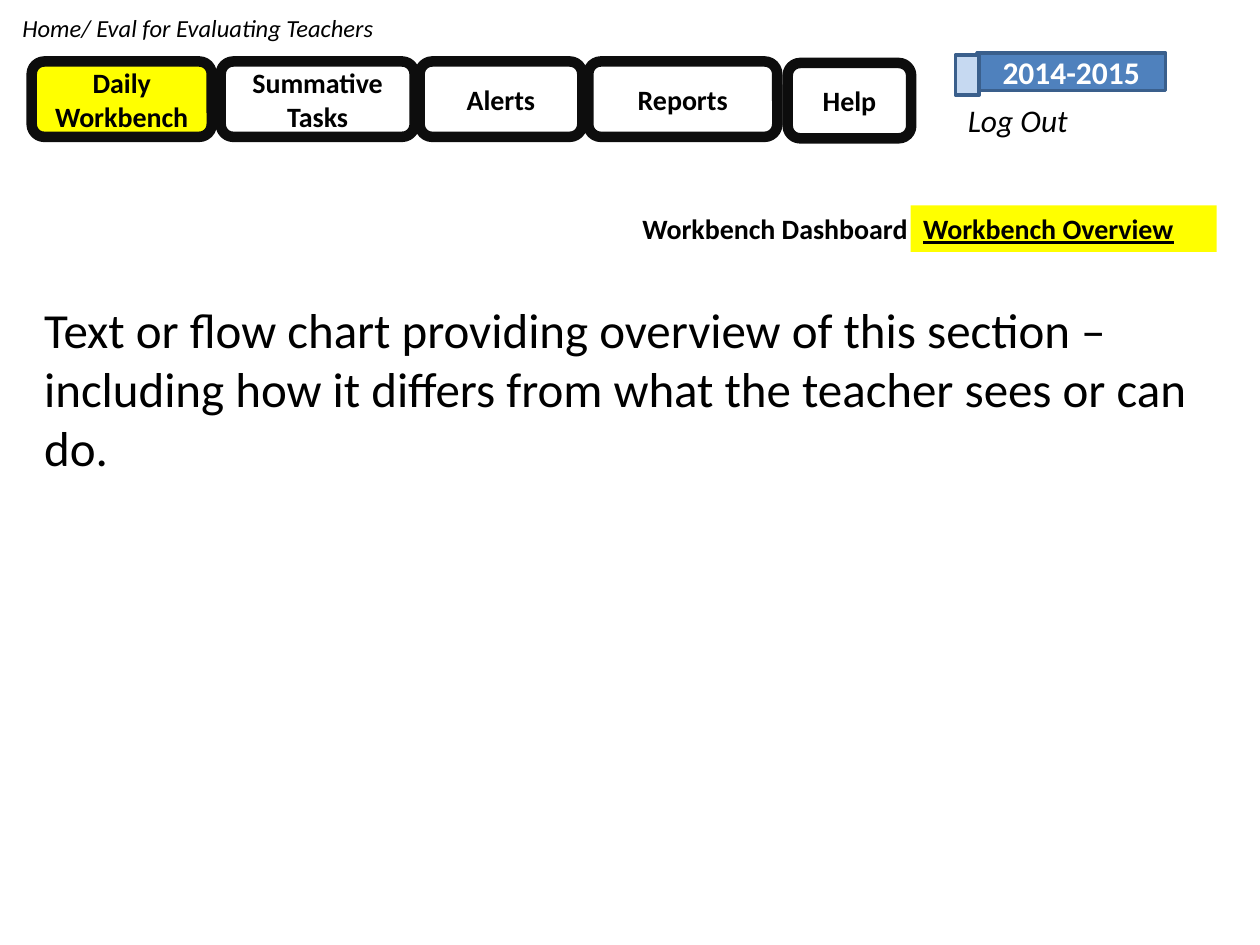
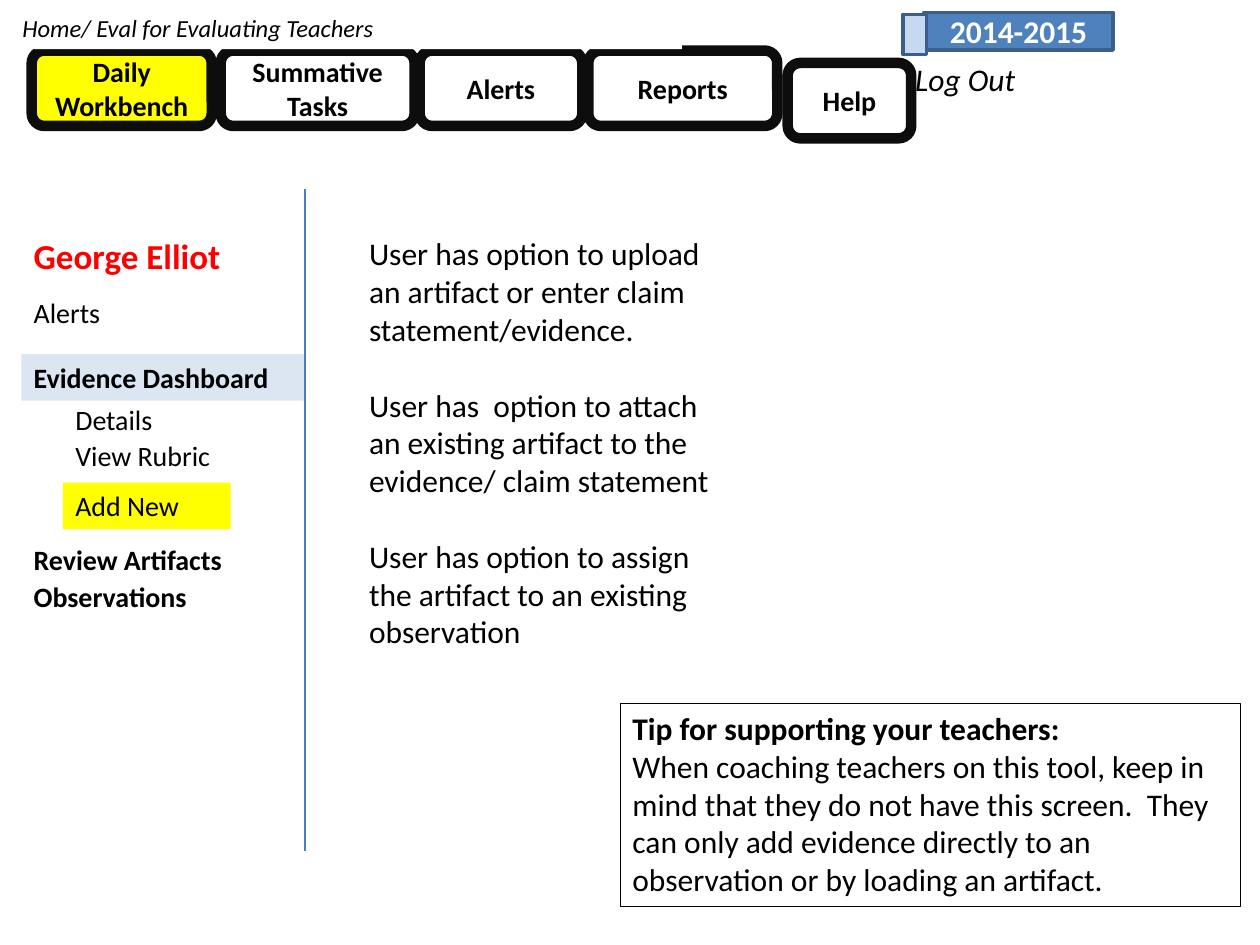
"""Build two wireframe slides of a teacher evaluation workbench."""
from lxml.etree import SubElement
from pptx import Presentation
from pptx.dml.color import RGBColor
from pptx.enum.shapes import MSO_CONNECTOR, MSO_SHAPE
from pptx.enum.text import MSO_ANCHOR, MSO_AUTO_SIZE, PP_ALIGN
from pptx.oxml.ns import qn
from pptx.util import Cm, Pt

FONT = "Calibri"
BLACK, WHITE, RED, YELLOW = "000000", "FFFFFF", "FF0000", "FFFF00"
BLUE, BLUE_EDGE, PALE_BLUE, BAR_BLUE = "4F81BD", "3A5F8C", "C6D9F1", "DCE6F2"
BUTTON_EDGE, DIVIDER = "0D0D0D", "4B7EBC"

BREADCRUMB = "Home/ Eval for Evaluating Teachers"
SCHOOL_YEAR = "2014-2015"
LOG_OUT = "Log Out"
BUTTONS = [
    ("Daily Workbench", 0.64, 3.63, YELLOW),
    ("Summative Tasks", 4.45, 3.91, WHITE),
    ("Alerts", 8.46, 3.28, WHITE),
    ("Reports", 11.86, 3.81, WHITE),
]
HELP_BUTTON = ("Help", 15.88, 2.49, WHITE)
HELP_TOP = 1.27
BUTTON_HEIGHT = 1.52
LINE_HEIGHT = 0.94

OVERVIEW = ("Text or flow chart providing overview of this section – including how "
            "it differs from what the teacher sees or can do.")
MARGIN, INDENT = 0.43, 1.27
SIDEBAR = [
    ("George Elliot", MARGIN, 4.6, 5.08, dict(size=20, bold=True, color=RED)),
    ("Alerts", MARGIN, 5.84, 3.38, dict(fill=WHITE)),
    ("Evidence Dashboard", MARGIN, 7.14, 5.72, dict(bold=True, fill=BAR_BLUE)),
    ("Details", INDENT, 8, 3.38, {}),
    ("View Rubric", INDENT, 8.71, 3.38, {}),
    ("Add New", INDENT, 9.73, 3.38, dict(fill=YELLOW)),
    ("Review Artifacts", MARGIN, 10.82, 5.28, dict(bold=True)),
    ("Observations", MARGIN, 11.56, 4.45, dict(bold=True)),
]
OPTIONS = [
    "User has option to upload an artifact or enter claim statement/evidence.",
    "User has  option to attach an existing artifact to the evidence/ claim statement",
    "User has option to assign the artifact to an existing observation",
]
TIP_TITLE = "Tip for supporting your teachers:"
TIP = ("When coaching teachers on this tool, keep in mind that they do not have this "
       "screen.  They can only add evidence directly to an observation or by loading "
       "an artifact.")


def rgb(value):
    return RGBColor.from_string(value)


def add_text(slide, paragraphs, box, size=16, bold=False, italic=False,
             underline=False, color=BLACK, fill=None, line=None, line_width=1,
             preset=MSO_SHAPE.RECTANGLE, centered=False, gap=0, title=None):
    left, top, width, height = map(Cm, box)
    if fill or line:
        shape = slide.shapes.add_shape(preset, left, top, width, height)
        shape.shadow.inherit = False
        if fill:
            shape.fill.solid()
            shape.fill.fore_color.rgb = rgb(fill)
        else:
            shape.fill.background()
        if line:
            shape.line.color.rgb = rgb(line)
            shape.line.width = Pt(line_width)
        else:
            shape.line.fill.background()
    else:
        shape = slide.shapes.add_textbox(left, top, width, height)
    frame = shape.text_frame
    frame.word_wrap = True
    frame.vertical_anchor = MSO_ANCHOR.MIDDLE if centered else MSO_ANCHOR.TOP
    frame.auto_size = (MSO_AUTO_SIZE.NONE if centered
                       else MSO_AUTO_SIZE.SHAPE_TO_FIT_TEXT)
    texts = [paragraphs] if isinstance(paragraphs, str) else list(paragraphs)
    if title:
        texts.insert(0, title)
    for index, text in enumerate(texts):
        paragraph = frame.add_paragraph() if index else frame.paragraphs[0]
        paragraph.alignment = PP_ALIGN.CENTER if centered else PP_ALIGN.LEFT
        if index and gap:
            paragraph.space_before = Pt(gap)
        run = paragraph.add_run()
        run.text = text
        font = run.font
        font.name, font.size = FONT, Pt(size)
        font.bold = bold or text == title
        font.italic, font.underline = italic, underline
        font.color.rgb = rgb(color)
    return shape


def add_button(slide, button, top):
    label, left, width, fill = button
    add_text(slide, label, (left, top, width, BUTTON_HEIGHT), bold=True, fill=fill,
             line=BUTTON_EDGE, line_width=6, preset=MSO_SHAPE.ROUNDED_RECTANGLE,
             centered=True)


def add_header(slide, year_left, year_top, buttons_top):
    tab_left = year_left - 0.43
    add_text(slide, SCHOOL_YEAR, (year_left, year_top, 3.81, 0.76), size=18, bold=True,
             color=WHITE, fill=BLUE, line=BLUE_EDGE, line_width=2, centered=True)
    add_text(slide, [], (tab_left, year_top + 0.04, 0.48, 0.81), fill=PALE_BLUE,
             line=BLUE_EDGE, line_width=2, centered=True)
    add_text(slide, LOG_OUT, (tab_left, year_top + 0.84, 6.78, 1.02), size=18,
             italic=True)
    for button in BUTTONS:
        add_button(slide, button, buttons_top)
    add_text(slide, BREADCRUMB, (0.2, 0.13, 13.55, 0.86), size=14, italic=True,
             fill=WHITE)
    add_button(slide, HELP_BUTTON, HELP_TOP)


def add_divider(slide, left, top, bottom):
    connector = slide.shapes.add_connector(
        MSO_CONNECTOR.STRAIGHT, Cm(left), Cm(top), Cm(left), Cm(bottom))
    connector.line.color.rgb = rgb(DIVIDER)
    connector.line.width = Pt(0.75)
    SubElement(connector._element.spPr, qn("a:effectLst"))


def build_overview(slide):
    add_header(slide, 19.69, 1.07, 1.24)
    add_text(slide, OVERVIEW, (0.64, 5.92, 23.93, 3.84), size=28)
    add_text(slide, "Workbench Dashboard", (12.7, 4.14, 6.17, LINE_HEIGHT), bold=True)
    add_text(slide, "Workbench Overview", (18.36, 4.14, 6.17, LINE_HEIGHT), bold=True,
             underline=True, fill=YELLOW)


def build_add_new(slide):
    add_header(slide, 18.63, 0.25, 1.02)
    for label, left, top, width, style in SIDEBAR:
        height = 1.12 if style.get("size") else LINE_HEIGHT
        add_text(slide, label, (left, top, width, height), **style)
    add_divider(slide, 6.15, 3.81, 17.15)
    add_text(slide, OPTIONS, (7.19, 4.6, 7.62, 8.71), size=18, gap=21.6)
    add_text(slide, TIP, (12.5, 14.17, 12.5, 4.11), size=18, line=BLACK,
             line_width=0.25, title=TIP_TITLE)


presentation = Presentation()
presentation.slide_width, presentation.slide_height = Cm(25.4), Cm(19.05)
for build in (build_overview, build_add_new):
    build(presentation.slides.add_slide(presentation.slide_layouts[6]))
presentation.save("out.pptx")
